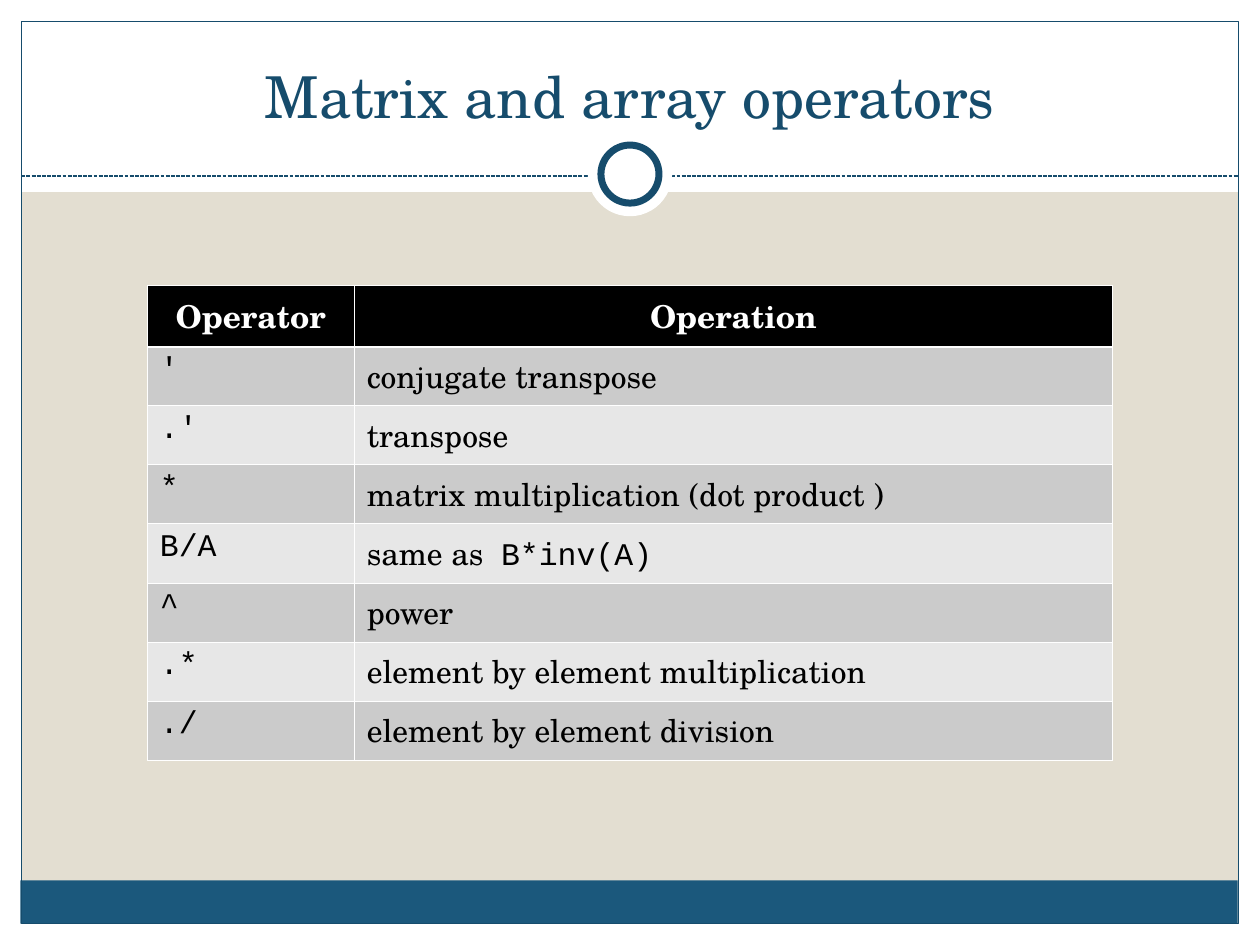
from dataclasses import dataclass

from lxml.etree import SubElement
from pptx import Presentation
from pptx.dml.color import RGBColor
from pptx.enum.dml import MSO_LINE as DASH
from pptx.enum.shapes import MSO_CONNECTOR as CONN, MSO_SHAPE as SHAPE
from pptx.enum.text import MSO_ANCHOR as ANCHOR, PP_ALIGN as ALIGN
from pptx.oxml.ns import qn
from pptx.util import Cm, Pt


@dataclass(frozen=True)
class Theme:
    paper: str = "E3DED1"
    white: str = "FFFFFF"
    black: str = "000000"
    navy: str = "164C6C"
    footer: str = "1B587C"
    bands: tuple = ("CBCBCB", "E7E7E7")
    serif: str = "TeX Gyre Schola"
    mono: str = "Courier New"
    title_size: int = 33
    table_size: int = 18
    thin: float = 0.45
    thick: float = 1.47


T = Theme()
WIDTH, HEIGHT, MARGIN = 25.4, 19.05, 0.43
HEADERS = ("Operator", "Operation")
# Each operator with its meaning and any code that follows the meaning
OPERATORS = [
    ("'", "conjugate transpose", ""),
    (".'", "transpose", ""),
    ("*", "matrix multiplication (dot product )", ""),
    ("B/A", "same as  ", "B*inv(A)"),
    ("^", "power", ""),
    (".*", "element by element multiplication", ""),
    ("./", "element by element division", ""),
]


def rgb(value):
    return RGBColor.from_string(value)


def add_text(p, text, font=T.serif, size=T.table_size, color=T.black,
             bold=False, align=ALIGN.LEFT):
    p.alignment = align
    r = p.add_run()
    r.text = text
    r.font.name = font
    r.font.size = Pt(size)
    r.font.bold = bold
    r.font.color.rgb = rgb(color)


def add_panel(s, kind, x, y, w, h, fill=None, line=None, weight=0.75):
    sp = s.shapes.add_shape(kind, Cm(x), Cm(y), Cm(w), Cm(h))
    sp.shadow.inherit = False
    if fill:
        sp.fill.solid()
        sp.fill.fore_color.rgb = rgb(fill)
    else:
        sp.fill.background()
    if line:
        sp.line.color.rgb = rgb(line)
        sp.line.width = Pt(weight)
    else:
        sp.line.fill.background()


def add_dashed_rule(s, y):
    rule = s.shapes.add_connector(CONN.STRAIGHT, Cm(MARGIN), Cm(y),
                                  Cm(WIDTH - MARGIN), Cm(y))
    rule.line.color.rgb = rgb(T.navy)
    rule.line.width = Pt(0.75)
    rule.line.dash_style = DASH.SQUARE_DOT
    SubElement(rule._element.spPr, qn("a:effectLst"))


def add_circle(s, center_y, size, **style):
    add_panel(s, SHAPE.OVAL, (WIDTH - size) / 2, center_y - size / 2,
              size, size, **style)


def add_frame(s):
    inner_w, inner_h = WIDTH - 2 * MARGIN, HEIGHT - 2 * MARGIN
    # White edges: bottom, top, left, right
    for box in ((0, HEIGHT - MARGIN, WIDTH, MARGIN), (0, 0, WIDTH, 3.87),
                (0, 0, MARGIN, HEIGHT), (WIDTH - MARGIN, 0, MARGIN, HEIGHT)):
        add_panel(s, SHAPE.RECTANGLE, *box, fill=T.white)
    # Footer band and outline
    add_panel(s, SHAPE.RECTANGLE, 0.41, 17.75, 24.54, 0.87, fill=T.footer)
    add_panel(s, SHAPE.RECTANGLE, MARGIN, MARGIN, inner_w, inner_h, line=T.navy)
    # Rule with the ring at its middle
    add_dashed_rule(s, 3.55)
    add_circle(s, 3.51, 1.7, fill=T.white)
    add_circle(s, 3.51, 1.17, fill=T.white, line=T.navy, weight=4)


def add_title(s, text):
    tf = s.shapes.add_textbox(Cm(0.85), Cm(0.64), Cm(23.7), Cm(2.11)).text_frame
    tf.word_wrap = True
    tf.vertical_anchor = ANCHOR.BOTTOM
    add_text(tf.paragraphs[0], text, size=T.title_size, color=T.navy,
             align=ALIGN.CENTER)


def style_cell(cell, fill, top, bottom):
    tcPr = cell._tc.get_or_add_tcPr()
    for side, weight in (("L", T.thin), ("R", T.thin), ("T", top), ("B", bottom)):
        ln = SubElement(tcPr, qn(f"a:ln{side}"), w=str(Pt(weight)))
        SubElement(SubElement(ln, qn("a:solidFill")), qn("a:srgbClr"), val=T.white)
    cell.fill.solid()
    cell.fill.fore_color.rgb = rgb(fill)


def add_operator_table(s):
    widths = (4.17, 15.29)
    heights = [1.23] + [1.19] * len(OPERATORS)
    table = s.shapes.add_table(len(heights), len(widths), Cm(2.97), Cm(5.76),
                               Cm(sum(widths)), Cm(sum(heights))).table
    for col, width in zip(table.columns, widths):
        col.width = Cm(width)
    for row, height in zip(table.rows, heights):
        row.height = Cm(height)

    # Header row
    for c, header in enumerate(HEADERS):
        cell = table.cell(0, c)
        style_cell(cell, T.black, T.thin, T.thick)
        add_text(cell.text_frame.paragraphs[0], header, color=T.white,
                 bold=True, align=ALIGN.CENTER)

    # Banded operator rows
    for i, (operator, meaning, code) in enumerate(OPERATORS):
        cells = [table.cell(i + 1, c) for c in range(len(widths))]
        for cell in cells:
            style_cell(cell, T.bands[i % 2], T.thin if i else T.thick, T.thin)
        left, right = (cell.text_frame.paragraphs[0] for cell in cells)
        add_text(left, operator, font=T.mono)
        add_text(right, meaning)
        if code:
            add_text(right, code, font=T.mono)


def main():
    prs = Presentation()
    prs.slide_width, prs.slide_height = Cm(WIDTH), Cm(HEIGHT)
    s = prs.slides.add_slide(prs.slide_layouts[6])
    s.background.fill.solid()
    s.background.fill.fore_color.rgb = rgb(T.paper)
    add_frame(s)
    add_title(s, "Matrix and array operators")
    add_operator_table(s)
    prs.save("out.pptx")


if __name__ == "__main__":
    main()
